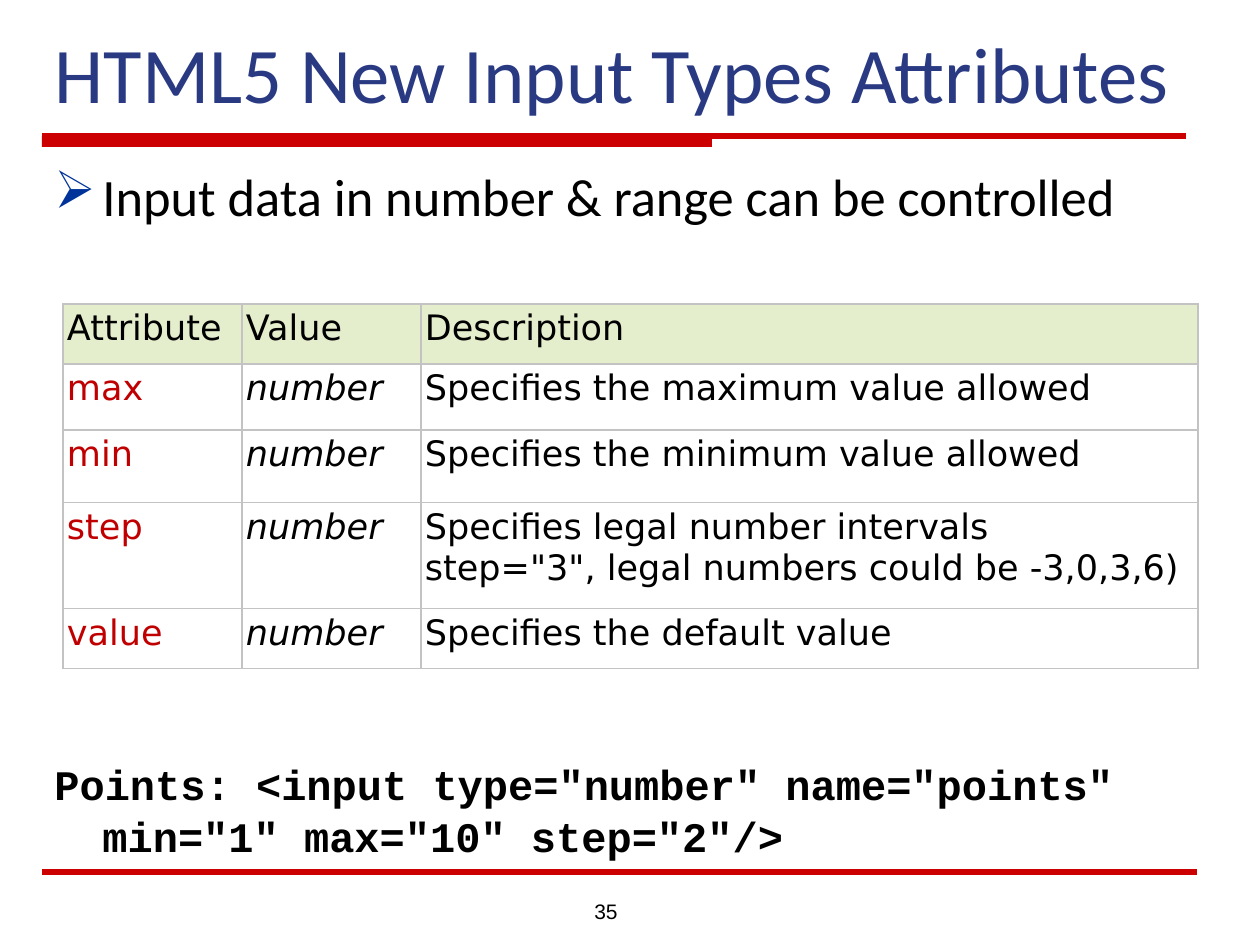
from dataclasses import dataclass

from lxml.etree import SubElement
from pptx import Presentation
from pptx.dml.color import RGBColor
from pptx.enum.shapes import MSO_CONNECTOR, MSO_SHAPE
from pptx.enum.text import MSO_ANCHOR, PP_ALIGN
from pptx.oxml import parse_xml
from pptx.oxml.ns import nsdecls, qn
from pptx.util import Emu, Pt

PX_PER_INCH = 126
COLORS = {
    "title": "293A83",
    "text": "000000",
    "rule": "CC0000",
    "bullet": "003399",
    "attribute": "C00000",
    "header": "E5EECC",
    "cell": "FFFFFF",
    "border": "C3C3C3",
}


@dataclass(frozen=True)
class Box:
    left: int
    top: int
    width: int
    height: int

    def emu(self) -> tuple:
        return px(self.left), px(self.top), px(self.width), px(self.height)


@dataclass(frozen=True)
class Style:
    font: str
    size: int
    color: str = "text"
    bold: bool = False
    italic: bool = False


@dataclass(frozen=True)
class AttributeRow:
    attribute: str
    value: str
    description: str
    height: int


TITLE = Style("Calibri", 45, "title")
BULLET = Style("Calibri", 30)
CODE = Style("Courier New", 24, bold=True)
NUMBER = Style("Arial", 12)
CELL = Style("DejaVu Sans", 20)
ATTRIBUTE = Style("DejaVu Sans", 20, "attribute")
VALUE = Style("DejaVu Sans", 20, italic=True)

TABLE_BOX = Box(63, 304, 1135, 365)
COLUMN_WIDTHS = (179, 179, 777)
ROWS = (
    AttributeRow("Attribute", "Value", "Description", 60),
    AttributeRow("max", "number", "Specifies the maximum value allowed", 66),
    AttributeRow("min", "number", "Specifies the minimum value allowed", 73),
    AttributeRow(
        "step",
        "number",
        'Specifies legal number intervals\nstep="3", legal numbers could be -3,0,3,6)',
        106,
    ),
    AttributeRow("value", "number", "Specifies the default value", 60),
)


def px(length: int) -> Emu:
    return Emu(round(length * 914400 / PX_PER_INCH))


def rgb(name: str) -> RGBColor:
    return RGBColor.from_string(COLORS[name])


def write(frame, text: str, style: Style, align=PP_ALIGN.LEFT) -> None:
    frame.text = text
    frame.word_wrap = True
    for paragraph in frame.paragraphs:
        paragraph.alignment = align
        font = paragraph.font
        font.name, font.size = style.font, Pt(style.size)
        font.bold, font.italic = style.bold, style.italic
        font.color.rgb = rgb(style.color)


def add_text(slide, box: Box, text: str, style: Style, align=PP_ALIGN.LEFT):
    """Add a text box and return its first paragraph."""
    frame = slide.shapes.add_textbox(*box.emu()).text_frame
    write(frame, text, style, align)
    return frame.paragraphs[0]


def hang(paragraph, bullet: str = "") -> None:
    """Give the paragraph a hanging indent and, if named, a bullet."""
    properties = paragraph._p.get_or_add_pPr()
    properties.set("marL", str(px(48)))
    properties.set("indent", str(-px(48)))
    if bullet:
        color = parse_xml(
            f'<a:buClr {nsdecls("a")}><a:srgbClr val="{COLORS["bullet"]}"/></a:buClr>'
        )
        character = parse_xml(f'<a:buChar {nsdecls("a")} char="{bullet}"/>')
        properties.insert(0, color)
        properties.insert(1, character)


def add_rule(slide, left: int, right: int, y: int) -> None:
    rule = slide.shapes.add_connector(
        MSO_CONNECTOR.STRAIGHT, px(left), px(y), px(right), px(y)
    )
    rule.line.color.rgb = rgb("rule")
    rule.line.width = Pt(3)
    SubElement(rule._element.spPr, qn("a:effectLst"))


def add_band(slide, box: Box) -> None:
    band = slide.shapes.add_shape(MSO_SHAPE.RECTANGLE, *box.emu())
    band.shadow.inherit = False
    band.fill.solid()
    band.fill.fore_color.rgb = rgb("rule")
    band.line.fill.background()


def add_borders(cell) -> None:
    properties = cell._tc.get_or_add_tcPr()
    for index, side in enumerate("LRTB"):
        border = parse_xml(
            f'<a:ln{side} {nsdecls("a")} w="{Pt(0.75)}"><a:solidFill>'
            f'<a:srgbClr val="{COLORS["border"]}"/></a:solidFill></a:ln{side}>'
        )
        properties.insert(index, border)


def add_attribute_table(slide) -> None:
    table = slide.shapes.add_table(
        len(ROWS), len(COLUMN_WIDTHS), *TABLE_BOX.emu()
    ).table
    for column, width in zip(table.columns, COLUMN_WIDTHS):
        column.width = px(width)
    for index, (table_row, row) in enumerate(zip(table.rows, ROWS)):
        table_row.height = px(row.height)
        styles = (ATTRIBUTE, VALUE, CELL) if index else (CELL,) * 3
        texts = (row.attribute, row.value, row.description)
        for cell, text, style in zip(table_row.cells, texts, styles):
            cell.margin_left = cell.margin_right = px(4)
            cell.margin_top = cell.margin_bottom = px(4)
            write(cell.text_frame, text, style)
            cell.fill.solid()
            cell.fill.fore_color.rgb = rgb("cell" if index else "header")
            add_borders(cell)


def main() -> None:
    presentation = Presentation()
    presentation.slide_width, presentation.slide_height = px(1260), px(945)
    slide = presentation.slides.add_slide(presentation.slide_layouts[5])

    add_band(slide, Box(42, 136, 670, 11))
    add_rule(slide, 42, 1186, 136)
    add_rule(slide, 42, 1197, 872)

    title = slide.shapes.title
    title.left, title.top, title.width, title.height = Box(42, 21, 1166, 105).emu()
    write(title.text_frame, "HTML5 New Input Types Attributes", TITLE)
    title.text_frame.vertical_anchor = MSO_ANCHOR.BOTTOM

    statement = add_text(
        slide, Box(42, 158, 1200, 80), "Input data in number & range can be controlled", BULLET
    )
    hang(statement, "➢")

    add_attribute_table(slide)

    example = add_text(
        slide,
        Box(42, 751, 1200, 116),
        'Points: <input type="number" name="points" min="1" max="10" step="2"/>',
        CODE,
    )
    hang(example)
    example.line_spacing = Pt(29.5)

    add_text(slide, Box(546, 892, 84, 34), "35", NUMBER, PP_ALIGN.RIGHT)
    presentation.save("out.pptx")


if __name__ == "__main__":
    main()
